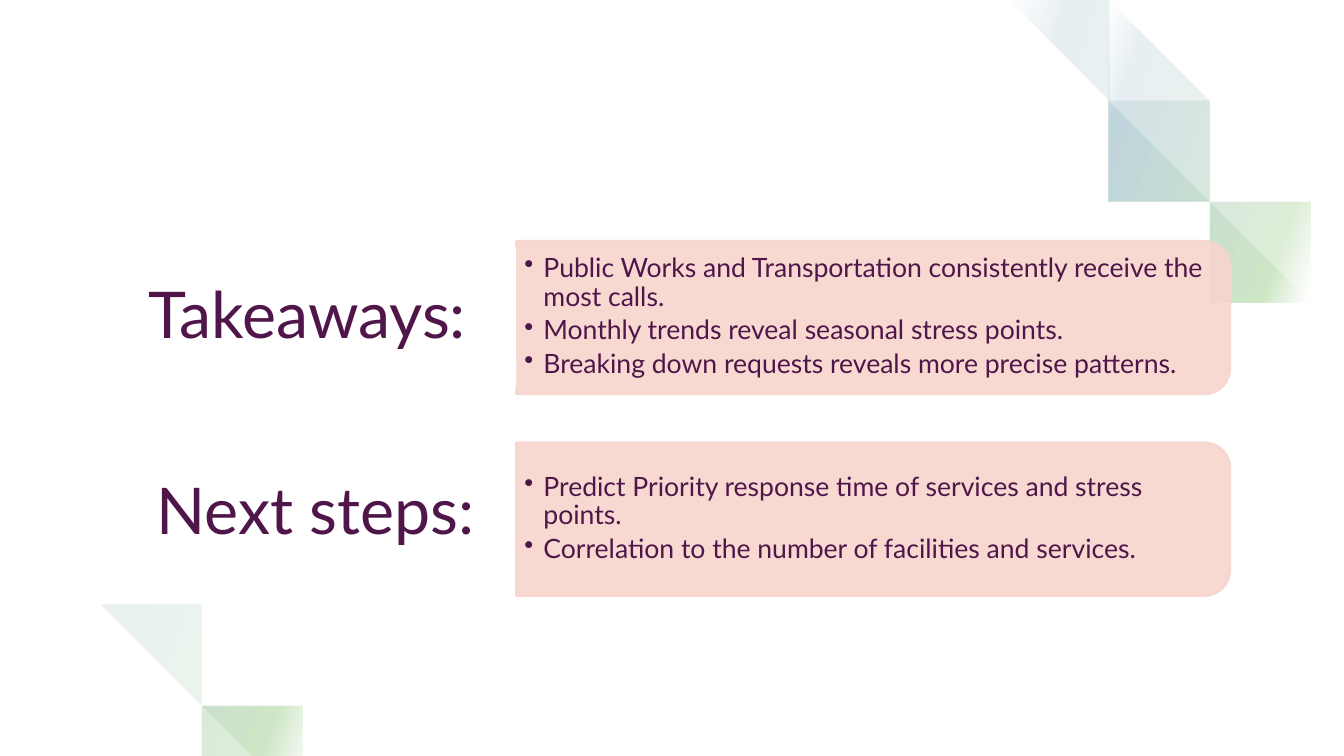
from dataclasses import dataclass

import pptx
import pptx.dml.color
import pptx.enum.shapes
import pptx.enum.text
import pptx.oxml
import pptx.oxml.ns
import pptx.oxml.xmlchemy
import pptx.util
from pptx.util import Inches

Point = tuple[float, float]


@dataclass(frozen=True)
class Theme:
    font: str = "Lato"
    text: str = "501649"
    panel: str = "F7D5CE"
    white: str = "FFFFFF"
    green: str = "4EA72E"
    blue: str = "156082"
    heading_size: float = 46
    bullet_size: float = 19
    line_width: float = 1.5
    line_spacing: float = 0.9
    panel_opacity: int = 90
    band_opacity: int = 10
    band_angle: int = 160


@dataclass(frozen=True)
class Band:
    """A ribbon between two smooth edges, both running the same way."""
    outer: list[Point]
    inner: list[Point]


@dataclass(frozen=True)
class Section:
    heading: str
    heading_top: float
    bullets: list[str]
    framed: bool = False


THEME = Theme()

# Ribbon edges shared by several bands
TOP_ARC = [(13.33, 3.32), (12.23, 2.74), (11.52, 2.0), (10.99, 1.07), (10.67, -0.09)]
BOTTOM_ARC = [(2.63, 7.5), (2.36, 6.69), (1.85, 6.16), (1.17, 5.8), (0.4, 5.67), (0, 5.72)]

BANDS = [
    # Top right ribbon
    Band([(13.33, 3.35), (12.51, 3.04), (11.65, 2.45), (11.16, 1.92), (10.78, 1.31),
          (10.36, -0.09)],
         [(13.33, 3.28), (12.57, 2.93), (11.81, 2.27), (11.4, 1.73), (11.06, 1.15),
          (10.68, -0.09)]),
    Band(TOP_ARC,
         [(13.33, 2.51), (12.75, 2.17), (12.19, 1.64), (11.58, 0.55), (11.41, -0.09)]),
    Band([(13.33, 3.33), (12.79, 3.14), (11.73, 2.33), (10.99, 1.19), (10.63, -0.09)],
         [(13.33, 3.08), (12.9, 2.9), (11.95, 2.11), (11.29, 1.04), (10.96, -0.09)]),
    Band(TOP_ARC,
         [(13.33, 2.64), (12.68, 2.28), (12.1, 1.72), (11.47, 0.59), (11.29, -0.09)]),
    # Bottom left ribbon
    Band(BOTTOM_ARC,
         [(2.2, 7.5), (2.06, 7), (1.66, 6.52), (1.07, 6.19), (0.4, 6.07), (0, 6.13)]),
    Band(BOTTOM_ARC,
         [(2.28, 7.5), (2.12, 6.97), (1.7, 6.47), (1.09, 6.13), (0.4, 6.01), (0, 6.06)]),
    Band([(2.63, 7.5), (2.47, 6.85), (2.03, 6.27), (1.42, 5.87), (0.69, 5.67), (0, 5.71)],
         [(2.51, 7.5), (2.34, 6.91), (1.92, 6.39), (1.34, 6.03), (0.67, 5.85), (0, 5.88)]),
    Band([(2.64, 7.5), (2.5, 6.87), (2.1, 6.23), (1.48, 5.75), (0.71, 5.53), (0, 5.59)],
         [(2.62, 7.5), (2.45, 6.89), (2, 6.31), (1.39, 5.91), (0.69, 5.7), (0, 5.72)]),
]

SECTIONS = [
    Section("Takeaways: ", 2.29,
            ["Public Works and Transportation consistently receive the most calls.",
             "Monthly trends reveal seasonal stress points.",
             "Breaking down requests reveals more precise patterns."], framed=True),
    Section("Next steps:", 4.24,
            ["Predict Priority response time of services and stress points.",
             "Correlation to the number of facilities and services."]),
]
FIRST_PANEL_TOP = 2.39
SECTION_PITCH = 2.0


def rgb(color: str) -> pptx.dml.color.RGBColor:
    return pptx.dml.color.RGBColor.from_string(color)


def add_child(parent, tag: str, **attributes):
    child = pptx.oxml.xmlchemy.OxmlElement(tag)
    for name, value in attributes.items():
        child.set(name, str(value))
    parent.append(child)
    return child


def smooth(knots: list[Point], steps: int = 3) -> list[Point]:
    """Points of a Catmull-Rom curve through the knots."""
    padded = [knots[0], *knots, knots[-1]]
    points = [knots[0]]
    for a, b, c, d in zip(padded, padded[1:], padded[2:], padded[3:]):
        for step in range(1, steps + 1):
            t = step / steps
            points.append(tuple(
                q + t * (r - p) / 2 + t * t * (2 * p - 5 * q + 4 * r - s) / 2
                + t ** 3 * (3 * q - p - 3 * r + s) / 2
                for p, q, r, s in zip(a, b, c, d)))
    return points


def add_band(slide, band: Band) -> None:
    outline = smooth(band.outer) + smooth(band.inner)[::-1]
    builder = slide.shapes.build_freeform(*outline[0], scale=Inches(1))
    builder.add_line_segments(outline[1:], close=True)
    shape = builder.convert_to_shape()
    shape.shadow.inherit = False
    shape.line.fill.background()
    shape.fill.gradient()
    shape.fill.gradient_angle = THEME.band_angle
    stops = shape.element.spPr.find(".//" + pptx.oxml.ns.qn("a:gsLst"))
    for stop in list(stops):
        stops.remove(stop)
    for percent, color in [(2, THEME.white), (16, THEME.green),
                           (85, THEME.blue), (100, THEME.white)]:
        stop = add_child(stops, "a:gs", pos=percent * 1000)
        stop_color = add_child(stop, "a:srgbClr", val=color)
        add_child(stop_color, "a:alpha", val=THEME.band_opacity * 1000)


def add_panel(slide, top: float) -> None:
    left, width, height = 5.12, 7.08, 1.52
    # The preset rounds its top corners, so it is turned to round the right side
    shape = slide.shapes.add_shape(
        pptx.enum.shapes.MSO_SHAPE.ROUND_2_SAME_RECTANGLE,
        Inches(left + (width - height) / 2), Inches(top - (width - height) / 2),
        Inches(height), Inches(width))
    shape.rotation = 90
    shape.shadow.inherit = False
    shape.fill.solid()
    shape.fill.fore_color.rgb = rgb(THEME.panel)
    shape.line.color.rgb = rgb(THEME.panel)
    shape.line.width = pptx.util.Pt(THEME.line_width)
    for color in shape.element.spPr.iter(pptx.oxml.ns.qn("a:srgbClr")):
        add_child(color, "a:alpha", val=THEME.panel_opacity * 1000)


def add_heading_frame(slide) -> None:
    shape = slide.shapes.add_shape(pptx.enum.shapes.MSO_SHAPE.ROUNDED_RECTANGLE,
                                   Inches(1.13), Inches(2.2), Inches(3.98), Inches(1.9))
    shape.shadow.inherit = False
    shape.fill.background()
    shape.line.color.rgb = rgb(THEME.white)
    shape.line.width = pptx.util.Pt(THEME.line_width)


def add_text(slide, box: tuple[float, float, float, float], lines: list[str], size: float,
             margins: tuple[float, float], bulleted: bool = False) -> None:
    frame = slide.shapes.add_textbox(*map(Inches, box)).text_frame
    frame.word_wrap = True
    frame.vertical_anchor = pptx.enum.text.MSO_ANCHOR.MIDDLE
    frame.margin_left = frame.margin_right = Inches(margins[0])
    frame.margin_top = frame.margin_bottom = Inches(margins[1])
    frame.text = "\n".join(lines)
    for paragraph in frame.paragraphs:
        paragraph.line_spacing = THEME.line_spacing
        paragraph.font.name = THEME.font
        paragraph.font.size = pptx.util.Pt(size)
        paragraph.font.color.rgb = rgb(THEME.text)
        if bulleted:
            paragraph.space_after = pptx.util.Pt(3.3)
            properties = paragraph._p.get_or_add_pPr()
            properties.set("marL", str(Inches(0.19)))
            properties.set("indent", str(-Inches(0.19)))
            bullet = pptx.oxml.xmlchemy.OxmlElement("a:buChar")
            bullet.set("char", "•")
            properties.find(pptx.oxml.ns.qn("a:defRPr")).addprevious(bullet)
        else:
            paragraph.alignment = pptx.enum.text.PP_ALIGN.CENTER


def main() -> None:
    presentation = pptx.Presentation()
    presentation.slide_width, presentation.slide_height = Inches(13.33), Inches(7.5)
    slide = presentation.slides.add_slide(presentation.slide_layouts[6])
    slide.background.fill.solid()
    slide.background.fill.fore_color.rgb = rgb(THEME.white)

    # Ribbons
    for band in BANDS:
        add_band(slide, band)

    # Sections
    for index, section in enumerate(SECTIONS):
        top = FIRST_PANEL_TOP + index * SECTION_PITCH
        add_panel(slide, top)
        add_text(slide, (5.12, top + 0.07, 7.01, 1.37), section.bullets,
                 THEME.bullet_size, (0.08, 0.04), bulleted=True)
        if section.framed:
            add_heading_frame(slide)
        add_text(slide, (1.23, section.heading_top, 3.8, 1.72), [section.heading],
                 THEME.heading_size, (0.19, 0.1))

    presentation.save("out.pptx")


if __name__ == "__main__":
    main()
